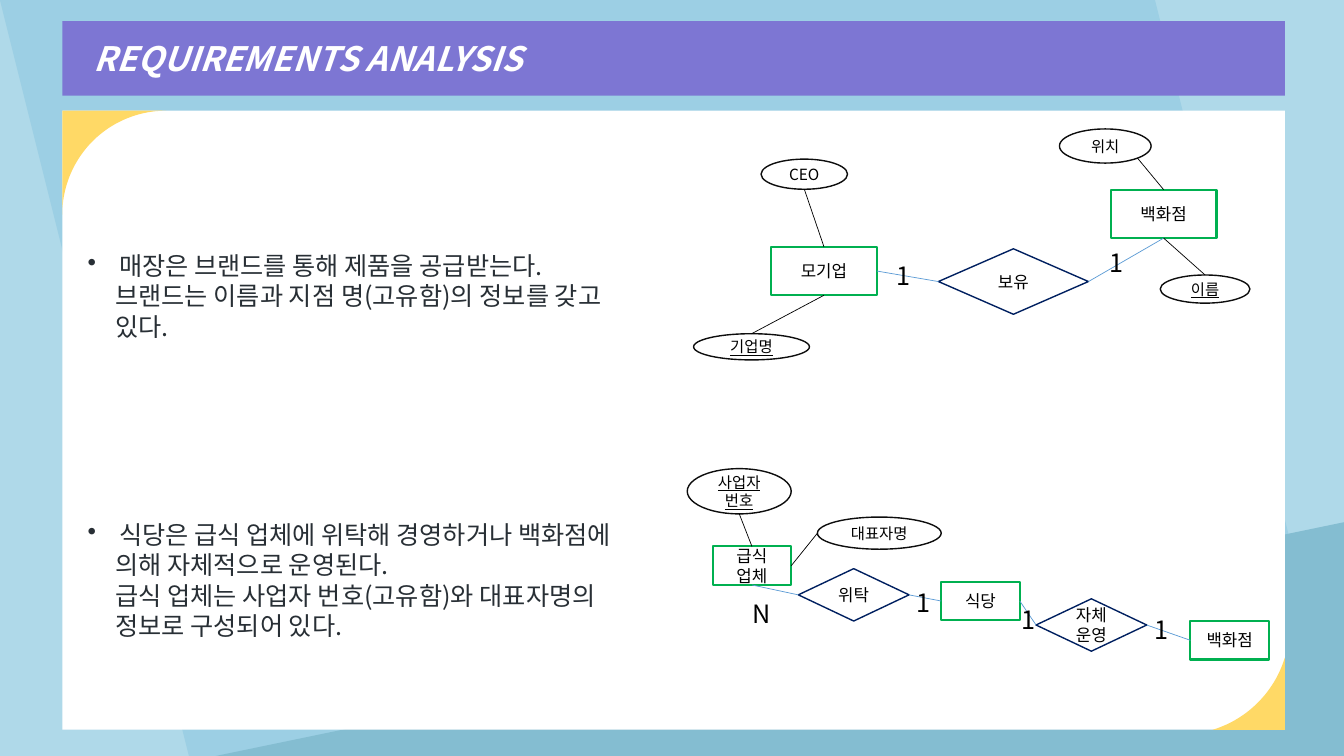
from dataclasses import dataclass
from math import cos, radians, sin

from pptx import Presentation
from pptx.dml.color import RGBColor as Rgb
from pptx.enum.shapes import MSO_CONNECTOR as Line, MSO_SHAPE as Form
from pptx.enum.text import MSO_ANCHOR as Anchor, MSO_AUTO_SIZE as Auto, PP_ALIGN as Align
from pptx.oxml.ns import qn
from pptx.oxml.xmlchemy import OxmlElement as Node
from pptx.util import Cm, Pt


@dataclass(frozen=True)
class Theme:
    """Colours, type sizes and font of the slide."""
    font: str = "Noto Sans CJK KR"
    back: str = "AFD9E9"
    slant: str = "9CCFE4"
    wedge: str = "84BDD1"
    band: str = "7D76D3"
    paper: str = "FFFFFF"
    curl: str = "FFD966"
    prose: str = "282F35"
    ink: str = "000000"
    rim: str = "0D0D0D"
    green: str = "00B050"
    navy: str = "002060"
    blue: str = "5B9BD5"
    head: int = 24
    body: int = 18
    node: int = 12
    small: int = 11


T = Theme()
SPOTS = {"top": (0.5, 0), "left": (0, 0.5), "low": (0.5, 1), "right": (1, 0.5),
         "edge": (0.85, 0.85)}


def paint(shape, fill=None, rim=None, width=1):
    """Set fill and outline, and take the shadow away."""
    shape.shadow.inherit = False
    if fill:
        shape.fill.solid()
        shape.fill.fore_color.rgb = Rgb.from_string(fill)
    else:
        shape.fill.background()
    if rim:
        shape.line.color.rgb = Rgb.from_string(rim)
        shape.line.width = Pt(width)
    else:
        shape.line.fill.background()


def form(slide, kind, box, fill=None, rim=None, width=1, flip=False):
    """Add a preset shape at box, given in centimetres."""
    shape = slide.shapes.add_shape(kind, *map(Cm, box))
    paint(shape, fill, rim, width)
    if flip:
        shape._element.spPr.find(qn("a:xfrm")).set("flipH", "1")
    return shape


def dot(para):
    """Give a paragraph a hanging bullet."""
    props = para._p.get_or_add_pPr()
    props.set("marL", str(Cm(0.79)))
    props.set("indent", str(-Cm(0.79)))
    mark = Node("a:buChar")
    mark.set("char", "•")
    props.append(mark)


def write(shape, text, size=T.node, color=T.ink, align=Align.CENTER, wrap=True,
          bold=False, slope=False, under=False, list_=False, inset=0.25):
    """Fill a shape with text, one paragraph a line."""
    frame = shape.text_frame
    frame.text = text
    frame.auto_size = Auto.NONE
    frame.word_wrap = wrap
    frame.vertical_anchor = Anchor.MIDDLE
    frame.margin_left = Cm(inset)
    for rank, para in enumerate(frame.paragraphs):
        para.alignment = align
        if list_ and rank == 0:
            dot(para)
        elif list_:
            para._p.get_or_add_pPr().set("marL", str(Cm(0.7)))
        for run in para.runs:
            font = run.font
            font.name, font.size = T.font, Pt(size)
            font.bold, font.italic, font.underline = bold, slope, under
            font.color.rgb = Rgb.from_string(color)
            east = Node("a:ea")
            east.set("typeface", T.font)
            font._element.find(qn("a:latin")).addnext(east)


def head(slide, text):
    """Move the title into its band and format it."""
    title = slide.shapes.title
    title.left, title.top, title.width, title.height = map(Cm, (1.57, 0.53, 30.81, 1.88))
    slide.shapes._spTree.append(title._element)
    paint(title, T.band)
    write(title, text, size=T.head, color=T.paper, align=Align.LEFT, bold=True,
          slope=True, inset=0.79)


def curl(slide, tip, hub, span, first, last):
    """Add a corner piece bounded by an arc around hub."""
    arc = [(hub[0] + span * cos(radians(a)), hub[1] + span * sin(radians(a)))
           for a in range(first, last + 1, 2)]
    pen = slide.shapes.build_freeform(*map(Cm, tip))
    pen.add_line_segments([(Cm(x), Cm(y)) for x, y in arc])
    paint(pen.convert_to_shape(), T.curl)


def rect(slide, text, box):
    """Add an entity."""
    shape = form(slide, Form.RECTANGLE, box, T.paper, T.green, 1.5)
    write(shape, text)
    return shape


def gem(slide, text, box):
    """Add a relationship."""
    shape = form(slide, Form.DIAMOND, box, T.paper, T.navy)
    write(shape, text)
    return shape


def oval(slide, text, box, key=False):
    """Add an attribute, underlined when it is a key."""
    shape = form(slide, Form.OVAL, box, rim=T.rim)
    write(shape, text, size=T.small, under=key)
    return shape


def link(slide, start, out, end, side, color=T.ink):
    """Join two shapes at the named spots."""
    ends = [(round(s.left + s.width * SPOTS[p][0]), round(s.top + s.height * SPOTS[p][1]))
            for s, p in ((start, out), (end, side))]
    line = slide.shapes.add_connector(Line.STRAIGHT, *ends[0], *ends[1])
    spots = list(SPOTS)
    if start.auto_shape_type != Form.OVAL:
        line.begin_connect(start, spots.index(out))
    line.end_connect(end, spots.index(side))
    line.line.color.rgb = Rgb.from_string(color)
    line.line.width = Pt(0.5)
    line._element.spPr.append(Node("a:effectLst"))


def prose(slide, text, top, height):
    """Add a bulleted statement on the left."""
    box = slide.shapes.add_textbox(Cm(1.96), Cm(top), Cm(14.99), Cm(height))
    write(box, text, size=T.body, color=T.prose, align=Align.LEFT, list_=True)


def count(slide, text, left, top):
    """Add a cardinality label."""
    box = slide.shapes.add_textbox(Cm(left), Cm(top), Cm(0.76), Cm(1.02))
    write(box, text, size=T.body, wrap=False)


def scene(slide):
    """Draw the backdrop, title and paper."""
    slide.background.fill.solid()
    slide.background.fill.fore_color.rgb = Rgb.from_string(T.back)
    form(slide, Form.PARALLELOGRAM, (0, 0, 33.87, 19.05), T.slant, flip=True)
    form(slide, Form.RIGHT_TRIANGLE, (5.44, 13.16, 28.43, 5.89), T.wedge, flip=True)
    head(slide, "REQUIREMENTS ANALYSIS")
    form(slide, Form.RECTANGLE, (1.57, 2.79, 30.81, 15.6), T.paper)
    curl(slide, (1.57, 2.79), (4.19, 5.41), 2.62, 180, 270)
    curl(slide, (32.38, 18.39), (29.76, 15.77), 2.74, 17, 73)


def owner(slide):
    """Draw the parent firm and its store."""
    store = rect(slide, "백화점", (27.99, 4.78, 2.67, 1.22))
    firm = rect(slide, "모기업", (19.43, 6.22, 2.67, 1.22))
    own = gem(slide, "보유", (23.65, 6.27, 3.78, 1.65))
    chief = oval(slide, "CEO", (19.18, 4.01, 2.18, 0.76))
    name = oval(slide, "기업명", (17.48, 8.41, 2.92, 0.66), key=True)
    label = oval(slide, "이름", (29.24, 6.93, 2.26, 0.71), key=True)
    place = oval(slide, "위치", (26.7, 3.25, 2.31, 0.86))
    link(slide, own, "right", store, "low", T.blue)
    link(slide, firm, "right", own, "left", T.blue)
    link(slide, name, "top", firm, "low")
    link(slide, chief, "low", firm, "top")
    link(slide, label, "top", store, "low")
    link(slide, place, "edge", store, "top")
    count(slide, "1", 27.76, 6.1)
    count(slide, "1", 22.38, 6.43)


def diner(slide):
    """Draw the caterer, the diner and the store that runs it."""
    size = (1.98, 0.97)
    store = rect(slide, "백화점", (30, 15.65, *size))
    cook = rect(slide, "급식\n업체", (17.96, 13.77, *size))
    hall = rect(slide, "식당", (23.72, 14.66, *size))
    trust = gem(slide, "위탁", (20.12, 14.33, 2.79, 1.32))
    run = gem(slide, "자체\n운영", (26.11, 15.09, 2.79, 1.32))
    boss = oval(slide, "대표자명", (20.6, 13.03, 3.12, 0.81))
    code = oval(slide, "사업자 번호", (17.32, 11.81, 2.62, 1.14), key=True)
    link(slide, run, "right", store, "left", T.blue)
    link(slide, cook, "low", trust, "left", T.blue)
    link(slide, trust, "right", hall, "left", T.blue)
    link(slide, hall, "right", run, "left", T.blue)
    link(slide, code, "low", cook, "top")
    link(slide, boss, "left", cook, "right")
    for text, left, top in (("1", 25.53, 15.09), ("1", 22.9, 14.68),
                            ("1", 28.88, 15.34), ("N", 18.82, 14.96)):
        count(slide, text, left, top)


def main():
    """Build the slide and save it."""
    deck = Presentation()
    deck.slide_width, deck.slide_height = Cm(33.87), Cm(19.05)
    slide = deck.slides.add_slide(deck.slide_layouts[5])
    scene(slide)
    prose(slide, "매장은 브랜드를 통해 제품을 공급받는다.\n"
          "브랜드는 이름과 지점 명(고유함)의 정보를 갖고\n있다.", 6.17, 2.57)
    owner(slide)
    prose(slide, "식당은 급식 업체에 위탁해 경영하거나 백화점에\n의해 자체적으로 운영된다.\n"
          "급식 업체는 사업자 번호(고유함)와 대표자명의\n정보로 구성되어 있다.", 12.95, 3.33)
    diner(slide)
    deck.save("out.pptx")


if __name__ == "__main__":
    main()
